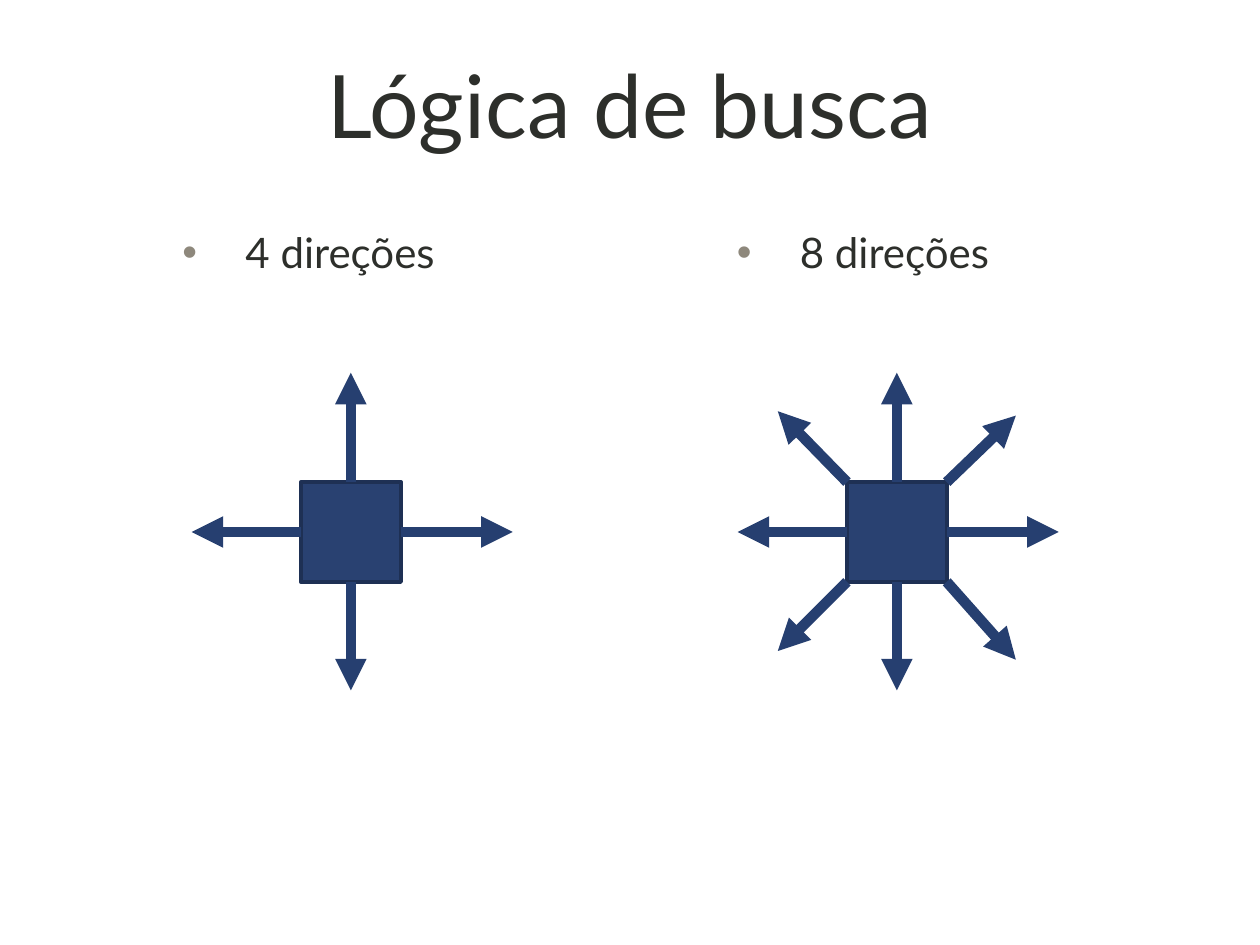
from pptx import Presentation
from pptx.dml.color import RGBColor
from pptx.enum.shapes import MSO_CONNECTOR as Connector, MSO_SHAPE as Shape
from pptx.enum.text import MSO_ANCHOR as Anchor, PP_ALIGN as Align
from pptx.oxml.ns import qn
from pptx.util import Pt
from lxml.etree import SubElement

INK = RGBColor(0x2D, 0x2F, 0x2B)
BULLET = RGBColor(0x8E, 0x88, 0x7C)
CELL_FILL = RGBColor(0x29, 0x41, 0x71)
CELL_LINE = RGBColor(0x1E, 0x30, 0x54)
ARROW = RGBColor(0x26, 0x3F, 0x70)
FONT = "Lato"
CELL_SIZE = 57

STRAIGHT = [(0, -62.5), (64, 0), (-62.5, 0), (0, 62)]
DIAGONAL = [(39.5, -38), (39.5, 44.5), (-39.5, 39.5), (-39.5, -40.5)]


def add_text(slide, text, size, left, top, width, height):
    frame = slide.shapes.add_textbox(Pt(left), Pt(top), Pt(width), Pt(height)).text_frame
    frame.word_wrap = True
    paragraph = frame.paragraphs[0]
    run = paragraph.add_run()
    run.text = text
    run.font.name = FONT
    run.font.size = Pt(size)
    run.font.color.rgb = INK
    return frame, paragraph


def add_title(slide, text, left, top, width, height):
    frame, paragraph = add_text(slide, text, 50, left, top, width, height)
    frame.vertical_anchor = Anchor.MIDDLE
    paragraph.alignment = Align.CENTER


def add_bullet(slide, text, left, top, width, height):
    frame, paragraph = add_text(slide, text, 24, left, top, width, height)
    properties = paragraph._p.get_or_add_pPr()
    properties.set("marL", str(Pt(36)))
    properties.set("indent", str(-Pt(36)))
    color = SubElement(properties, qn("a:buClr"))
    SubElement(color, qn("a:srgbClr"), val=str(BULLET))
    SubElement(properties, qn("a:buFont"), typeface="Arial")
    SubElement(properties, qn("a:buChar"), char="•")


def add_arrow(slide, start_x, start_y, run_x, run_y):
    arrow = slide.shapes.add_connector(
        Connector.STRAIGHT, Pt(start_x), Pt(start_y), Pt(start_x + run_x), Pt(start_y + run_y)
    )
    arrow.line.color.rgb = ARROW
    arrow.line.width = Pt(6)
    SubElement(arrow.line._get_or_add_ln(), qn("a:tailEnd"), type="triangle")
    SubElement(arrow._element.spPr, qn("a:effectLst"))


def add_compass(slide, directions, left, top, size):
    cell = slide.shapes.add_shape(Shape.RECTANGLE, Pt(left), Pt(top), Pt(size), Pt(size))
    cell.shadow.inherit = False
    cell.fill.solid()
    cell.fill.fore_color.rgb = CELL_FILL
    cell.line.color.rgb = CELL_LINE
    cell.line.width = Pt(2.5)
    half = size / 2
    for run_x, run_y in directions:
        side_x = (run_x > 0) - (run_x < 0)
        side_y = (run_y > 0) - (run_y < 0)
        add_arrow(slide, left + half * (1 + side_x), top + half * (1 + side_y), run_x, run_y)


def main():
    presentation = Presentation()
    presentation.slide_width = Pt(720)
    presentation.slide_height = Pt(540)
    slide = presentation.slides.add_slide(presentation.slide_layouts[6])
    add_title(slide, "Lógica de busca", 54, 5, 612, 108)
    columns = [
        ("4 direções", 97.2, 172, STRAIGHT),
        ("8 direções", 414, 484, STRAIGHT + DIAGONAL),
    ]
    for label, label_left, cell_left, directions in columns:
        add_bullet(slide, label, label_left, 126, 280, 40)
        add_compass(slide, directions, cell_left, 275.5, CELL_SIZE)
    presentation.save("out.pptx")


if __name__ == "__main__":
    main()
